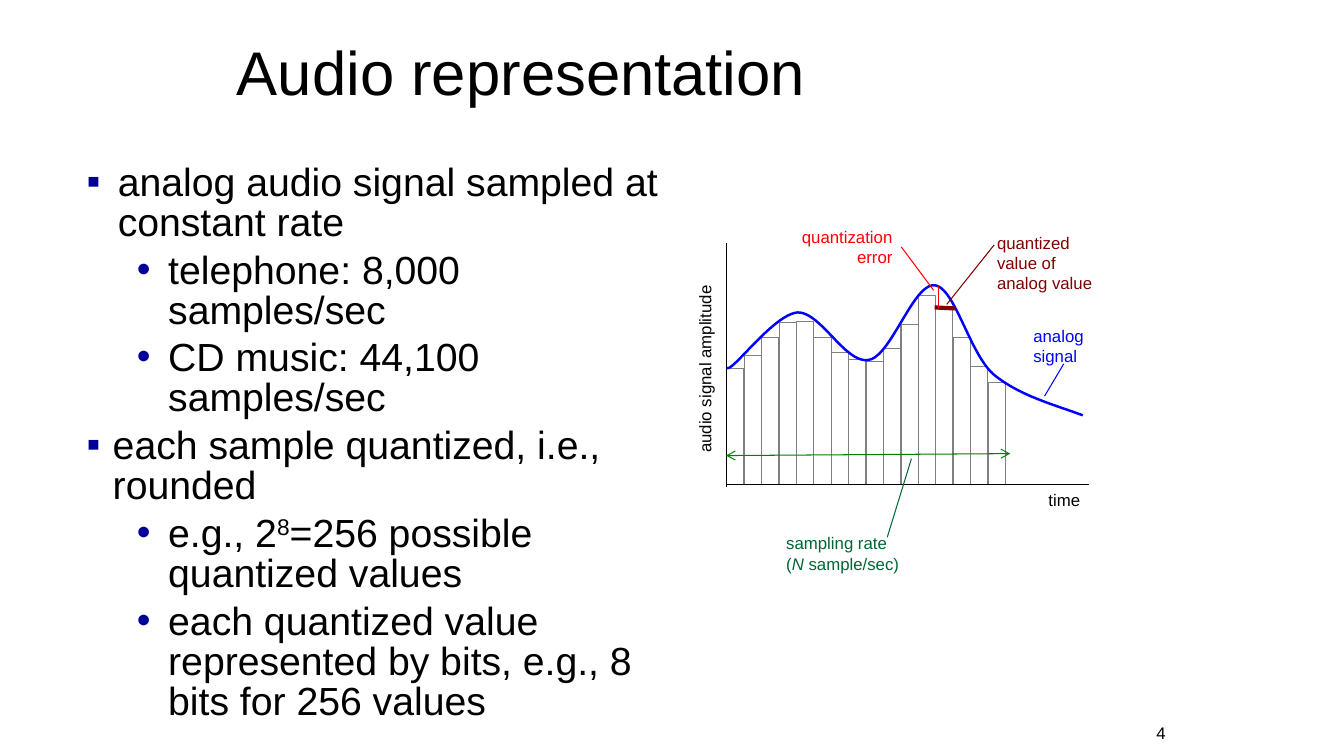
import pptx
import pptx.util
import pptx.dml.color
import pptx.enum.shapes
import pptx.enum.text
import pptx.oxml.ns
from lxml import etree

Inches = pptx.util.Inches
Pt = pptx.util.Pt
RGBColor = pptx.dml.color.RGBColor
ALIGN = pptx.enum.text.PP_ALIGN
ANCHOR = pptx.enum.text.MSO_ANCHOR
qn = pptx.oxml.ns.qn

BLACK = RGBColor(0x00, 0x00, 0x00)
GRAY = RGBColor(0x80, 0x80, 0x80)
BLUE = RGBColor(0x00, 0x00, 0xFF)
MAROON = RGBColor(0x80, 0x00, 0x00)
RED = RGBColor(0xFF, 0x00, 0x00)
GREEN = RGBColor(0x00, 0x80, 0x00)
DARK_GREEN = RGBColor(0x00, 0x66, 0x33)
BULLET_COLOR = "000099"
FONT = "Arial"

TITLE = "Audio representation"
# level, left margin, hanging indent, runs as (text, style)
BODY = [
    (0, 0.31, 0.31, [("analog audio signal sampled at constant rate", "")]),
    (1, 0.81, 0.31, [("telephone: 8,000 samples/sec", "")]),
    (1, 0.81, 0.31, [("CD music: 44,100 samples/sec", "")]),
    (0, 0.26, 0.26, [("each sample quantized, i.e., rounded", "")]),
    (1, 0.81, 0.31, [("e.g., 2", ""), ("8", "superscript"), ("=256 possible quantized values", "")]),
    (1, 0.81, 0.31, [("each quantized value represented by bits, e.g., 8 bits for 256 values", "")]),
]
BULLETS = ["▪", "•"]

AXIS_X, AXIS_Y = 7.21, 4.81
LAST_BAR_X, BAR_WIDTH = 9.8, 0.17
BAR_TOPS = [3.66, 3.53, 3.35, 3.2, 3.19, 3.35, 3.5, 3.57,
            3.59, 3.46, 3.22, 2.93, 3.06, 3.35, 3.64, 3.79]
CURVE_START = (7.21, 3.65)
CURVE = [  # two control points and an end point for each Bezier segment
    ((7.26, 3.7), (7.67, 3.12), (7.91, 3.1)),
    ((8.14, 3.09), (8.39, 3.62), (8.62, 3.57)),
    ((8.84, 3.53), (9.06, 2.81), (9.27, 2.83)),
    ((9.47, 2.85), (9.61, 3.49), (9.85, 3.71)),
    ((10.1, 3.92), (10.44, 4.01), (10.74, 4.12)),
]
CURVE_STEPS = 24

AXES = [
    ((AXIS_X, 2.41), (AXIS_X, 4.83), BLACK, 0.75, False),
    ((AXIS_X, AXIS_Y), (10.8, AXIS_Y), BLACK, 0.75, False),
]
# start, end, colour, width, arrowheads at both ends
MARKS = [
    ((10.55, 3.61), (10.36, 3.93), BLUE, 0.75, False),
    ((9.27, 3.05), (9.47, 3.06), MAROON, 3, False),
    ((9.86, 2.43), (9.39, 3.02), MAROON, 0.75, False),
    ((9.31, 2.83), (9.31, 3.06), RED, 1, False),
    ((8.94, 2.45), (9.26, 2.88), RED, 0.75, False),
    ((7.2, 4.52), (10.02, 4.5), GREEN, 0.75, True),
    ((8.8, 5.33), (9.04, 4.55), DARK_GREEN, 0.75, False),
]
# box, colour, alignment, wrap, rotation, paragraphs of runs
LABELS = [
    ((10.3, 4.81, 0.52, 0.3), BLACK, ALIGN.LEFT, False, 0, [[("time", "")]]),
    ((6.05, 3.5, 1.88, 0.3), BLACK, ALIGN.LEFT, False, 270, [[("audio signal amplitude", "")]]),
    ((10.15, 3.18, 0.71, 0.51), BLUE, ALIGN.LEFT, False, 0, [[("analog", "")], [("signal", "")]]),
    ((9.79, 2.26, 1.28, 0.71), MAROON, ALIGN.LEFT, True, 0,
     [[("quantized value of", "")], [("analog value", "")]]),
    ((7.74, 2.2, 1.21, 0.51), RED, ALIGN.RIGHT, True, 0, [[("quantization error", "")]]),
    ((7.7, 5.24, 1.87, 0.5), DARK_GREEN, ALIGN.LEFT, True, 0,
     [[("sampling rate", "")], [("(", ""), ("N ", "italic"), ("sample/sec)", "")]]),
]
PAGE_NUMBER = "4"
PAGE_NUMBER_BOX = (10.91, 7.12, 0.75, 0.3)


def style_font(font, size, color):
    font.name = FONT
    font.size = Pt(size)
    font.color.rgb = color


def add_runs(paragraph, runs, size, color):
    for text, style in runs:
        run = paragraph.add_run()
        run.text = text
        style_font(run.font, size, color)
        if style == "italic":
            run.font.italic = True
        elif style == "superscript":
            run._r.get_or_add_rPr().set("baseline", "30000")


def add_text_box(slide, box, wrap=True):
    shape = slide.shapes.add_textbox(*map(Inches, box))
    shape.text_frame.word_wrap = wrap
    return shape


def paragraphs_for(text_frame, items):
    """Yield each item with its paragraph, starting from the existing one."""
    for index, item in enumerate(items):
        yield (text_frame.add_paragraph() if index else text_frame.paragraphs[0]), item


def add_bullet(paragraph, level, margin, hanging):
    paragraph.level = level
    properties = paragraph._p.get_or_add_pPr()
    properties.set("marL", str(Inches(margin)))
    properties.set("indent", str(-Inches(hanging)))
    color = etree.SubElement(properties, qn("a:buClr"))
    etree.SubElement(color, qn("a:srgbClr"), val=BULLET_COLOR)
    etree.SubElement(properties, qn("a:buFont"), typeface=FONT)
    etree.SubElement(properties, qn("a:buChar"), char=BULLETS[level])


def add_line(slide, start, end, color, width, arrows):
    connector = slide.shapes.add_connector(
        pptx.enum.shapes.MSO_CONNECTOR.STRAIGHT, *map(Inches, start + end))
    connector.line.color.rgb = color
    connector.line.width = Pt(width)
    if arrows:
        line = connector.line._get_or_add_ln()
        for end_tag in ("a:headEnd", "a:tailEnd"):
            etree.SubElement(line, qn(end_tag), type="arrow")
    etree.SubElement(connector._element.spPr, qn("a:effectLst"))


def outline(shape, color, width):
    shape.shadow.inherit = False
    shape.fill.background()
    shape.line.color.rgb = color
    shape.line.width = Pt(width)


def add_title(slide):
    title = slide.shapes.title
    title.left, title.top, title.width, title.height = map(Inches, (2.25, 0.12, 6.16, 1.25))
    title.text_frame.text = TITLE
    title.text_frame.vertical_anchor = ANCHOR.MIDDLE
    paragraph = title.text_frame.paragraphs[0]
    paragraph.alignment = ALIGN.LEFT
    paragraph.line_spacing = 0.9
    style_font(paragraph.runs[0].font, 44, BLACK)


def add_body(slide):
    frame = add_text_box(slide, (0.76, 1.58, 5.92, 5.69)).text_frame
    for paragraph, (level, margin, hanging, runs) in paragraphs_for(frame, BODY):
        add_bullet(paragraph, level, margin, hanging)
        paragraph.line_spacing = 0.85
        if paragraph._p is not frame.paragraphs[0]._p:
            paragraph.space_before = Pt(5.6)
        add_runs(paragraph, runs, 28, BLACK)


def add_bars(slide):
    pitch = (LAST_BAR_X - AXIS_X) / (len(BAR_TOPS) - 1)
    for index, top in enumerate(BAR_TOPS):
        box = (AXIS_X + index * pitch, top, BAR_WIDTH, AXIS_Y - top)
        bar = slide.shapes.add_shape(pptx.enum.shapes.MSO_SHAPE.RECTANGLE, *map(Inches, box))
        outline(bar, GRAY, 0.75)


def add_analog_curve(slide):
    points, start = [], CURVE_START
    for control_1, control_2, end in CURVE:
        for step in range(1, CURVE_STEPS + 1):
            t = step / CURVE_STEPS
            weights = ((1 - t) ** 3, 3 * t * (1 - t) ** 2, 3 * t ** 2 * (1 - t), t ** 3)
            corners = (start, control_1, control_2, end)
            points.append(tuple(
                Inches(sum(weight * corner[axis] for weight, corner in zip(weights, corners)))
                for axis in (0, 1)))
        start = end
    builder = slide.shapes.build_freeform(*map(Inches, CURVE_START))
    builder.add_line_segments(points, close=False)
    outline(builder.convert_to_shape(), BLUE, 1.75)


def add_label(slide, box, color, alignment, wrap, rotation, lines):
    shape = add_text_box(slide, box, wrap)
    shape.rotation = rotation
    for paragraph, runs in paragraphs_for(shape.text_frame, lines):
        paragraph.alignment = alignment
        add_runs(paragraph, runs, 12, color)


def main():
    presentation = pptx.Presentation()
    presentation.slide_width, presentation.slide_height = Inches(13.33), Inches(7.5)
    slide = presentation.slides.add_slide(presentation.slide_layouts[5])
    add_title(slide)
    add_body(slide)
    add_bars(slide)
    for line in AXES:
        add_line(slide, *line)
    add_analog_curve(slide)
    for line in MARKS:
        add_line(slide, *line)
    for label in LABELS:
        add_label(slide, *label)
    add_label(slide, PAGE_NUMBER_BOX, BLACK, ALIGN.RIGHT, True, 0, [[(PAGE_NUMBER, "")]])
    presentation.save("out.pptx")


if __name__ == "__main__":
    main()
